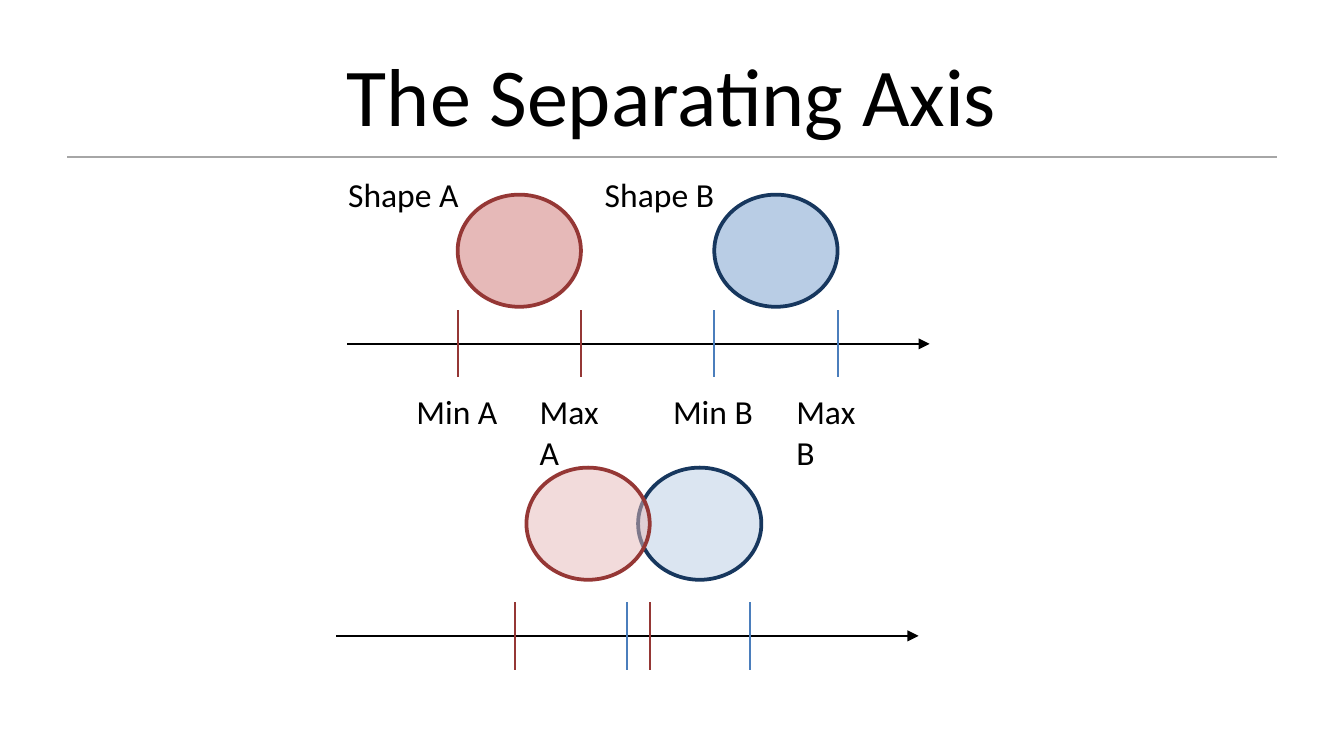
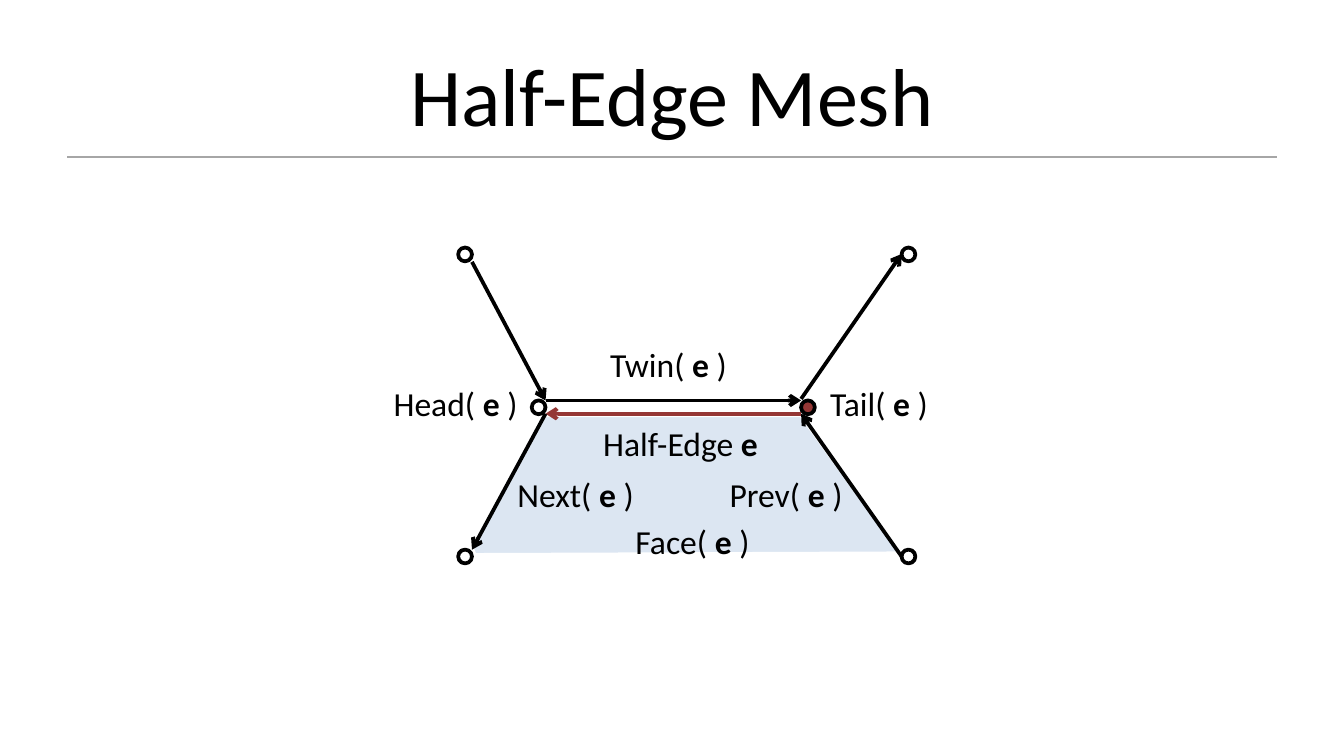
from lxml.etree import SubElement
from pptx import Presentation
from pptx.dml.color import RGBColor
from pptx.enum.shapes import MSO_CONNECTOR as Link, MSO_SHAPE as Preset
from pptx.enum.text import MSO_ANCHOR as Anchor, MSO_AUTO_SIZE as AutoSize, PP_ALIGN as Align
from pptx.oxml.ns import qn
from pptx.util import Cm, Pt

rgb = RGBColor.from_string
BLACK, GREY, WHITE = "000000", "A6A6A6", "FFFFFF"
RED, PINK = "953735", "E6B9B8"
NAVY, BLUE, SKY, PALE = "17375E", "4B7EBC", "B9CDE5", "DCE6F2"
TITLE_FRAME = {"word_wrap": True, "vertical_anchor": Anchor.MIDDLE}
LABEL_FRAME = {"word_wrap": False, "auto_size": AutoSize.SHAPE_TO_FIT_TEXT}


def paint(shape, fill, edge, opacity=100):
    """Give a shape its fill (None for hollow) and a 2 pt outline, without shadow."""
    shape.shadow.inherit = False
    if fill:
        shape.fill.solid()
        shape.fill.fore_color.rgb = rgb(fill)
        if opacity < 100:
            color = shape.fill._xPr.find(qn("a:solidFill"))[0]
            SubElement(color, qn("a:alpha"), val=str(opacity * 1000))
    else:
        shape.fill.background()
    shape.line.color.rgb = rgb(edge)
    shape.line.width = Pt(2)


def write(page, frame_format, place, spans, align=Align.LEFT):
    """Add one paragraph of (text, size, bold) spans in a text box."""
    box = page.shapes.add_textbox(*map(Cm, place))
    for name, value in frame_format.items():
        setattr(box.text_frame, name, value)
    para = box.text_frame.paragraphs[0]
    para.alignment = align
    for text, size, bold in spans:
        span = para.add_run()
        span.text = text
        span.font.color.rgb = rgb(BLACK)
        for name, value in {"name": "Calibri", "size": Pt(size), "bold": bold}.items():
            setattr(span.font, name, value)


# Separating axis: two circles and their projections, apart and overlapping.
# Ovals: left, top, width, height, fill, edge, opacity
# Lines: x1, y1, x2, y2, colour, points, arrowhead
# Labels: left, top, width, height, spans
CIRCLE_W, CIRCLE_H, TICK, LABEL_H = 2.33, 2.12, 1.27, 1.03
axis_ovals = [
    (12.06, 8.84, CIRCLE_W, CIRCLE_H, SKY, NAVY, 50),
    (9.95, 8.84, CIRCLE_W, CIRCLE_H, PINK, RED, 50),
]
axis_lines, axis_labels = [], []
for name, left, fill, edge in [("A", 8.65, PINK, RED), ("B", 13.5, SKY, NAVY)]:
    axis_ovals.append((left, 3.68, CIRCLE_W, CIRCLE_H, fill, edge, 100))
    axis_labels.append((left - 2.32, 3.17, 2.61, LABEL_H, [(f"Shape {name}", 18, False)]))
    for bound, x in [("Min", left), ("Max", left + CIRCLE_W)]:
        axis_labels.append((x - 1.03, 7.27, 2.1, LABEL_H, [(f"{bound} {name}", 18, False)]))

for start, y, red_ticks, blue_ticks in [
    (6.56, 6.5, (8.65, 10.98), (13.5, 15.83)),
    (6.35, 12.02, (9.74, 12.28), (11.85, 14.18)),
]:
    axis_lines.append((start, y, start + 11.01, y, BLACK, 1, "triangle"))
    for color, ticks in [(RED, red_ticks), (BLUE, blue_ticks)]:
        for x in ticks:
            axis_lines.append((x, y - TICK / 2, x, y + TICK / 2, color, 1, None))

# Half-edge mesh: six vertices, the edges between them and one face.
NODE = 0.26
vertices = [
    (10.18, 7.7, None), (15.27, 7.7, RED),
    (8.79, 4.81, None), (17.17, 4.81, None),
    (8.79, 10.52, None), (17.17, 10.52, None),
]
mesh_ovals = [
    (x - NODE / 2, y - NODE / 2, NODE, NODE, fill, BLACK, 100) for x, y, fill in vertices
]
mesh_lines = [
    (*ends, color, 2, "arrow")
    for *ends, color in [
        (15.14, 7.82, 10.31, 7.82, RED),
        (10.31, 7.57, 15.14, 7.57, BLACK),
        (8.92, 4.95, 10.31, 7.57, BLACK),
        (15.14, 7.54, 17.04, 4.8, BLACK),
        (10.31, 7.82, 8.92, 10.39, BLACK),
        (17.04, 10.52, 15.14, 7.82, BLACK),
    ]
]
mesh_labels = [
    (11.15, 7.65, 3.68, 1.27, [("Half-Edge ", 18, False), ("e", 18, True), (" ", 24, False)])
]
for name, left, top, width in [
    ("Tail", 15.44, 7.11, 2.54), ("Head", 7.19, 7.11, 3.05),
    ("Next", 9.53, 8.84, 2.74), ("Prev", 13.54, 8.84, 2.82),
    ("Twin", 11.28, 6.38, 2.9), ("Face", 11.76, 9.73, 2.84),
]:
    spans = [(f"{name}( ", 18, False), ("e ", 18, True), (")", 18, False)]
    mesh_labels.append((left, top, width, LABEL_H, spans))
face = [(8.92, 10.36), (10.29, 7.85), (15.14, 7.85), (17.02, 10.46), (8.97, 10.49)]

deck = Presentation()
deck.slide_width, deck.slide_height = Cm(25.4), Cm(14.29)

for title, outline, ovals, lines, labels in [
    ("The Separating Axis", None, axis_ovals, axis_lines, axis_labels),
    ("Half-Edge Mesh", face, mesh_ovals, mesh_lines, mesh_labels),
]:
    page = deck.slides.add_slide(deck.slide_layouts[6])
    page.background.fill.solid()
    page.background.fill.fore_color.rgb = rgb(WHITE)

    if outline:
        corners = [(Cm(x), Cm(y)) for x, y in outline]
        builder = page.shapes.build_freeform(*corners[0])
        builder.add_line_segments(corners[1:], close=True)
        paint(builder.convert_to_shape(), PALE, WHITE)

    write(page, TITLE_FRAME, (1.27, 0.58, 22.86, 2.39), [(title, 44, False)], Align.CENTER)

    for *place, fill, edge, opacity in ovals:
        oval = page.shapes.add_shape(Preset.OVAL, *map(Cm, place))
        paint(oval, fill, edge, opacity)

    title_rule = (1.27, 2.97, 24.13, 2.97, GREY, 1, None)
    for *ends, color, points, head in [title_rule, *lines]:
        line = page.shapes.add_connector(Link.STRAIGHT, *map(Cm, ends))
        line.line.color.rgb = rgb(color)
        line.line.width = Pt(points)
        if head:
            SubElement(line.line._get_or_add_ln(), qn("a:tailEnd"), type=head)
        SubElement(line._element.spPr, qn("a:effectLst"))

    for *place, spans in labels:
        write(page, LABEL_FRAME, place, spans)

deck.save("out.pptx")
